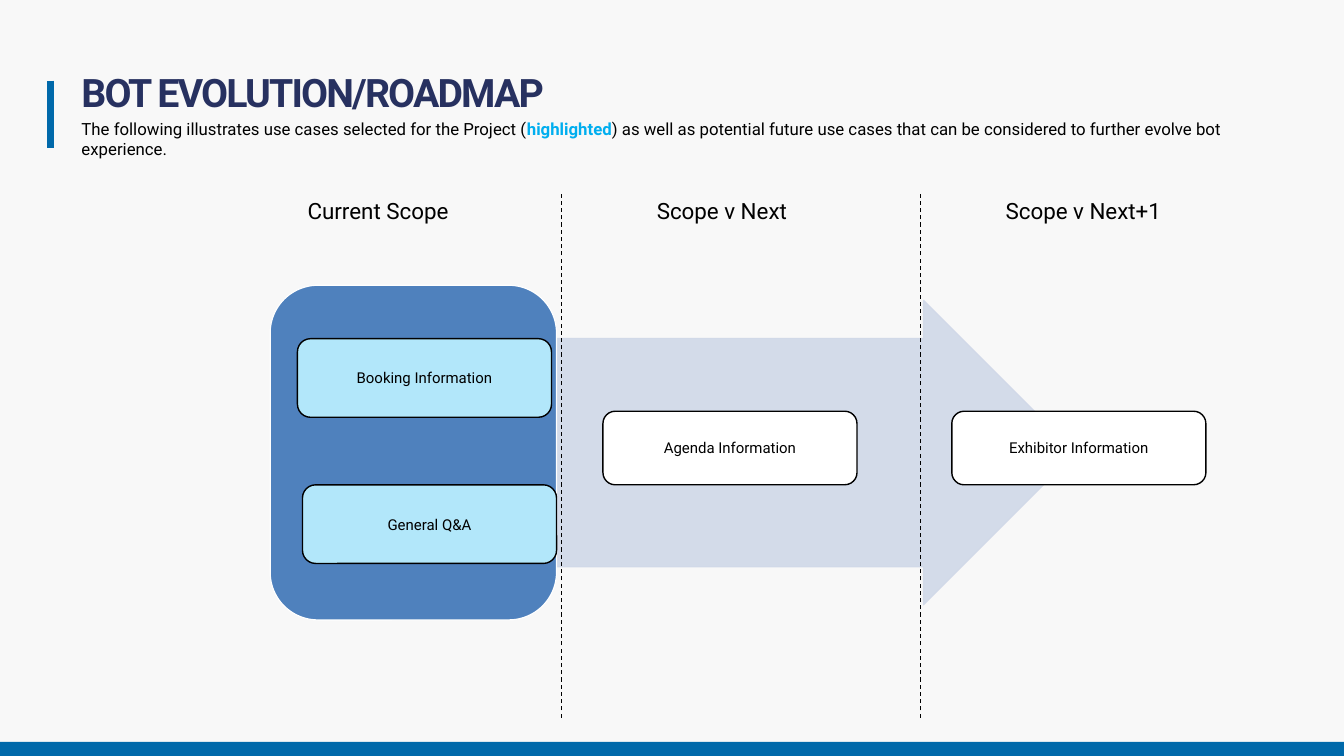
"""Build the bot evolution roadmap slide."""
import pptx
import pptx.util
import pptx.dml.color
import pptx.enum.dml
import pptx.enum.shapes
import pptx.enum.text
import pptx.oxml.ns
import lxml.etree

Inches = pptx.util.Inches
Pt = pptx.util.Pt
RGBColor = pptx.dml.color.RGBColor
SHAPE = pptx.enum.shapes.MSO_SHAPE
ALIGN = pptx.enum.text.PP_ALIGN
qn = pptx.oxml.ns.qn

NAVY = RGBColor(0x27, 0x31, 0x60)
BLUE = RGBColor(0x00, 0x69, 0xAA)
CYAN = RGBColor(0x00, 0xAE, 0xEF)
STEEL = RGBColor(0x4F, 0x81, 0xBD)
MIST = RGBColor(0xD0, 0xD8, 0xE8)
SKY = RGBColor(0xB2, 0xE7, 0xFA)
PAPER = RGBColor(0xF8, 0xF8, 0xF8)
WHITE = RGBColor(0xFF, 0xFF, 0xFF)
BLACK = RGBColor(0, 0, 0)

FONT = "Roboto"
TITLE = "BOT EVOLUTION/ROADMAP"
SUBTITLE = [
    ("The following illustrates use cases selected for the Project (", BLACK, False),
    ("highlighted", CYAN, True),
    (") as well as potential future use cases that can be considered to "
     "further evolve bot experience.", BLACK, False),
]
PHASES = [
    ("Current Scope", 2.95, 1.6),
    ("Scope v Next", 6.41, 1.5),
    ("Scope v Next+1", 9.86, 1.77),
]
USE_CASES = [
    ("General Q&A", 3, 4.81, 0.78, SKY),
    ("Booking Information", 2.95, 3.36, 0.78, SKY),
    ("Agenda Information", 5.98, 4.08, 0.73, WHITE),
    ("Exhibitor Information", 9.44, 4.08, 0.73, WHITE),
]
USE_CASE_WIDTH = 2.52
DIVIDERS = [5.57, 9.13]
DIVIDER_TOP, DIVIDER_BOTTOM = 1.91, 7.12


def style_run(run, size, color, bold=False):
    run.font.name = FONT
    run.font.size = Pt(size)
    run.font.color.rgb = color
    run.font.bold = bold


def add_text(slide, box, parts, size, wrap=True):
    frame = slide.shapes.add_textbox(*map(Inches, box)).text_frame
    frame.word_wrap = wrap
    paragraph = frame.paragraphs[0]
    for text, color, bold in parts:
        run = paragraph.add_run()
        run.text = text
        style_run(run, size, color, bold)
    return paragraph


def add_block(slide, preset, box, fill, line=None, width=1):
    block = slide.shapes.add_shape(preset, *map(Inches, box))
    block.shadow.inherit = False
    block.fill.solid()
    block.fill.fore_color.rgb = fill
    if line is None:
        block.line.fill.background()
    else:
        block.line.color.rgb = line
        block.line.width = Pt(width)
    return block


def add_rule(slide, x, start, end, color, width):
    rule = slide.shapes.add_connector(
        pptx.enum.shapes.MSO_CONNECTOR.STRAIGHT,
        Inches(x), Inches(start), Inches(x), Inches(end))
    rule.line.color.rgb = color
    rule.line.width = Pt(width)
    lxml.etree.SubElement(rule.element.spPr, qn("a:effectLst"))
    return rule


def main():
    deck = pptx.Presentation()
    deck.slide_width, deck.slide_height = Inches(13.33), Inches(7.5)
    slide = deck.slides.add_slide(deck.slide_layouts[6])
    slide.background.fill.solid()
    slide.background.fill.fore_color.rgb = PAPER

    heading = add_text(slide, (0.71, 0.73, 5.32, 0.47), [(TITLE, NAVY, True)], 28)
    heading.line_spacing = Pt(26)
    heading.runs[0].font.element.set("spc", "-130") if hasattr(
        heading.runs[0].font, "element") else heading.runs[0]._r.get_or_add_rPr().set("spc", "-130")
    add_block(slide, SHAPE.RECTANGLE, (0, 7.36, 13.33, 0.14), BLUE)
    add_rule(slide, 0.5, 0.8, 1.47, BLUE, 4.5)
    add_text(slide, (0.71, 1.13, 11.98, 0.68), SUBTITLE, 12)

    arrow = add_block(slide, SHAPE.RIGHT_ARROW, (5.52, 2.98, 5.15, 3.02), MIST, MIST, 0.85)
    arrow.adjustments[0] = 0.75
    arrow.adjustments[1] = 0.5
    for color in arrow.element.spPr.iter(qn("a:srgbClr")):
        lxml.etree.SubElement(color, qn("a:alpha"), val="90000")
    add_block(slide, SHAPE.ROUNDED_RECTANGLE, (2.68, 2.83, 2.84, 3.32), STEEL, WHITE, 0.85)

    for x in DIVIDERS:
        divider = add_rule(slide, x, DIVIDER_BOTTOM, DIVIDER_TOP, BLACK, 0.75)
        divider.line.dash_style = pptx.enum.dml.MSO_LINE.DASH

    for name, left, top, height, fill in USE_CASES:
        card = add_block(slide, SHAPE.ROUNDED_RECTANGLE,
                         (left, top, USE_CASE_WIDTH, height), fill, BLACK)
        card.text_frame.text = name
        card.text_frame.vertical_anchor = pptx.enum.text.MSO_ANCHOR.MIDDLE
        label = card.text_frame.paragraphs[0]
        label.alignment = ALIGN.CENTER
        style_run(label.runs[0], 10.7, BLACK)

    for name, left, width in PHASES:
        phase = add_text(slide, (left, 1.91, width, 0.37), [(name, BLACK, False)], 16, wrap=False)
        phase.alignment = ALIGN.CENTER

    deck.save("out.pptx")


if __name__ == "__main__":
    main()
